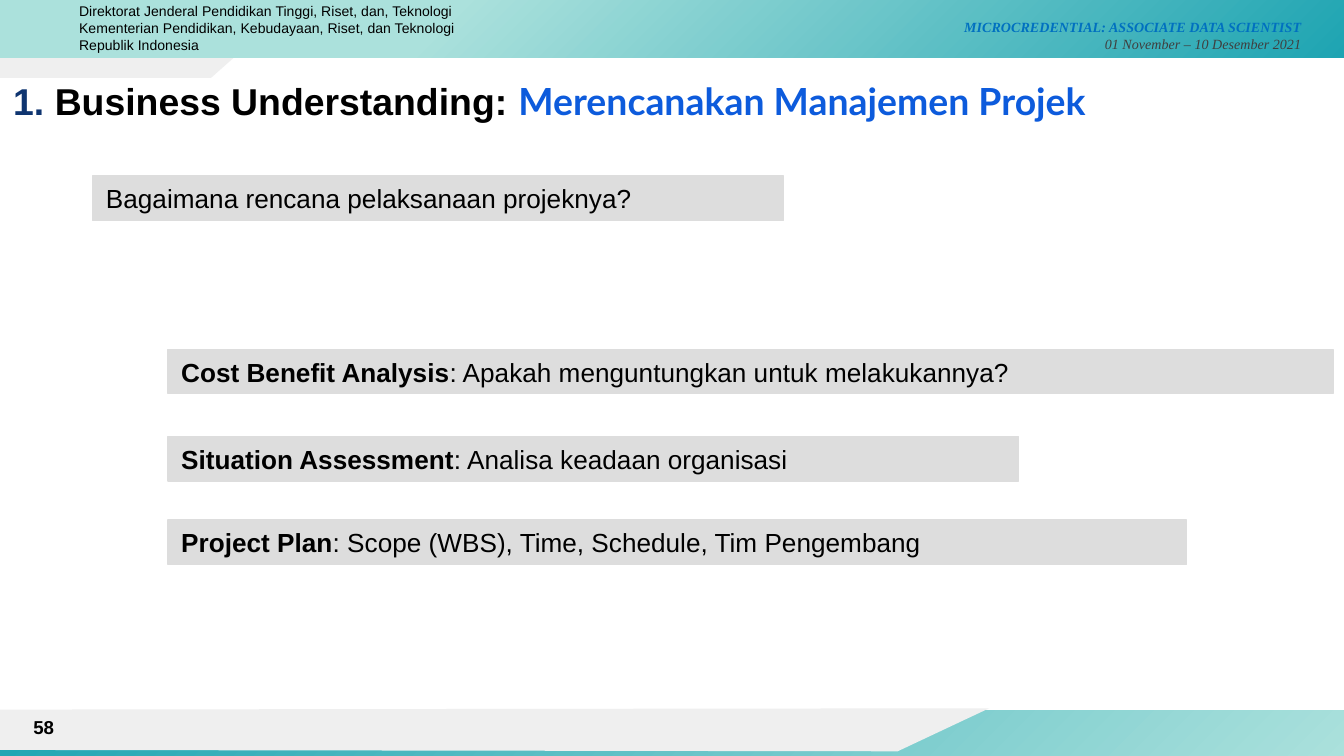
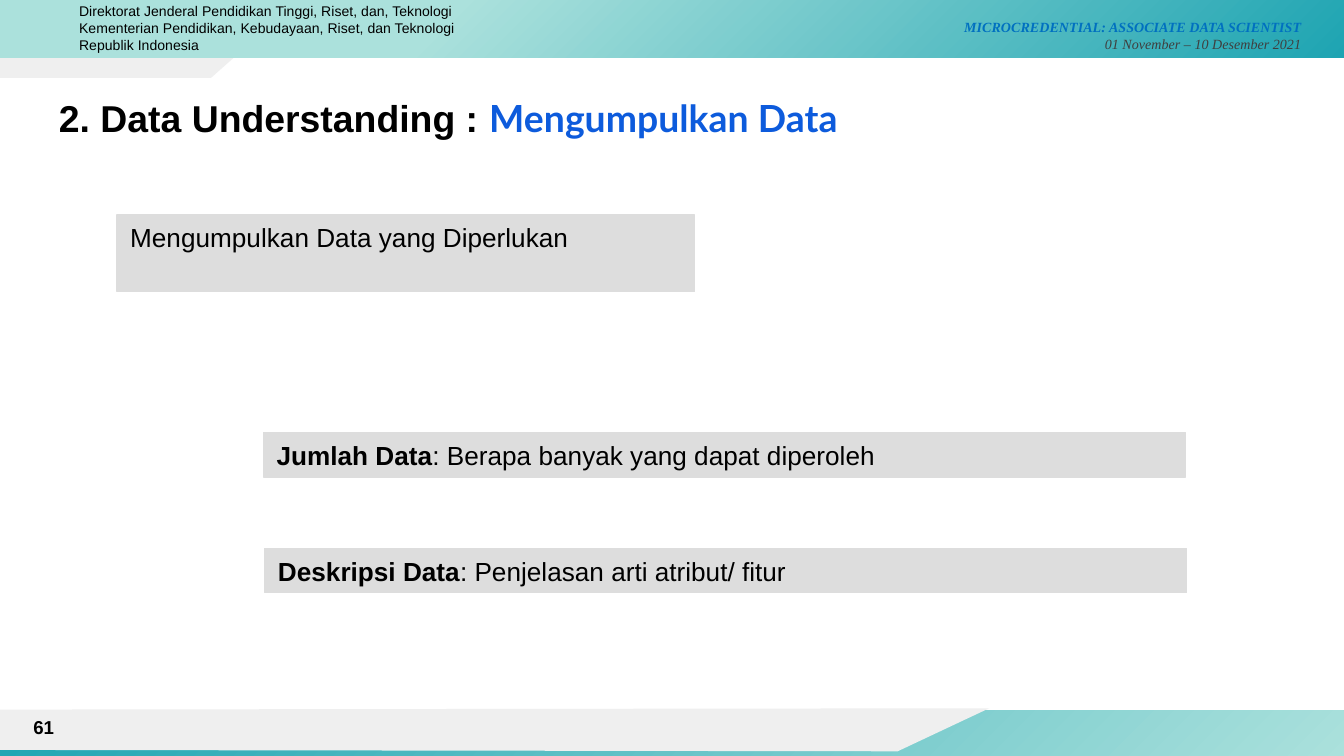
import lxml.etree
import pptx
import pptx.dml.color
import pptx.enum.shapes
import pptx.enum.text
import pptx.oxml.ns
import pptx.util

COLORS = {
    "aqua": "ABE1DC",
    "teal": "1EA4B2",
    "plate": "EFEFEF",
    "bar": "DDDDDD",
    "black": "000000",
    "navy": "0F3570",
    "accent": "0D5BDC",
    "program": "0070C0",
    "date": "3F3F3F",
}
CELL = pptx.util.Inches(0.1)
COLUMNS, ROWS = 100, 56.25
RECTANGLE = pptx.enum.shapes.MSO_SHAPE.RECTANGLE
LEFT = pptx.enum.text.PP_ALIGN.LEFT
RIGHT = pptx.enum.text.PP_ALIGN.RIGHT
TOP = pptx.enum.text.MSO_ANCHOR.TOP
MIDDLE = pptx.enum.text.MSO_ANCHOR.MIDDLE

TAB = [(18.3, 3.5), (0, 3.3), (0, 5.8), (15.7, 5.8)]
FOOTER_PLATE = [(73.6, 52.7), (0, 52.8), (0, 55.8), (66.8, 55.9)]
HEADER_STOPS = [(0, "teal"), (67, "aqua"), (100, "aqua")]
FOOTER_STOPS = [(0, "aqua"), (100, "teal")]

PROGRAM = [[
    ("MICROCREDENTIAL: ASSOCIATE DATA SCIENTIST\n", {"color": "program", "bold": True}),
    ("01 November – 10 Desember 2021", {"color": "date"}),
]]
MINISTRY = [
    [("Direktorat Jenderal Pendidikan Tinggi, Riset, dan, Teknologi", {})],
    [("Kementerian Pendidikan, Kebudayaan, Riset, dan Teknologi Republik Indonesia", {})],
]
HEADING = {"bold": True}
HEADING_ACCENT = {"bold": True, "font": "Lato", "color": "accent"}

SLIDES = [
    {
        "number": "58",
        "title_at": (0, 4.8, 101.7, 6.3),
        "title": [
            ("1. ", {"bold": True, "color": "navy"}),
            ("Business Understanding: ", HEADING),
            ("Merencanakan Manajemen Projek", HEADING_ACCENT),
        ],
        "bars": [
            ((6.9, 13.1, 51.4, 3.3), "", "Bagaimana rencana pelaksanaan projeknya?"),
            ((12.5, 26, 86.7, 3.3), "Cost Benefit Analysis", ": Apakah menguntungkan untuk melakukannya?"),
            ((12.5, 32.5, 63.3, 3.3), "Situation Assessment", ": Analisa keadaan organisasi"),
            ((12.5, 38.7, 75.8, 3.3), "Project Plan", ": Scope (WBS), Time, Schedule, Tim Pengembang"),
        ],
    },
    {
        "number": "61",
        "title_at": (3.4, 6.1, 93.2, 6.3),
        "title": [
            ("2. Data Understanding : ", HEADING),
            ("Mengumpulkan Data", HEADING_ACCENT),
        ],
        "bars": [
            ((8.7, 16, 43, 5.7), "", "Mengumpulkan Data yang Diperlukan"),
            ((19.6, 32.2, 68.6, 3.3), "Jumlah Data", ": Berapa banyak yang dapat diperoleh"),
            ((19.7, 40.8, 68.6, 3.3), "Deskripsi Data", ": Penjelasan arti atribut/ fitur"),
        ],
    },
]


def write(slide, paragraphs, at, size, font="Arial", italic=False, align=LEFT,
          anchor=TOP, inset_top=0.5, inset_bottom=0.5, bar=None):
    box = [int(length * CELL) for length in at]
    if bar:
        shape = slide.shapes.add_shape(RECTANGLE, *box)
        shape.shadow.inherit = False
        shape.fill.solid()
        shape.fill.fore_color.rgb = pptx.dml.color.RGBColor.from_string(COLORS[bar])
        shape.line.color.rgb = pptx.dml.color.RGBColor.from_string(COLORS[bar])
        shape.line.width = pptx.util.Pt(0.75)
    else:
        shape = slide.shapes.add_textbox(*box)
    frame = shape.text_frame
    frame.word_wrap = True
    frame.vertical_anchor = anchor
    frame.margin_left = frame.margin_right = CELL
    frame.margin_top = int(inset_top * CELL)
    frame.margin_bottom = int(inset_bottom * CELL)
    for index, runs in enumerate(paragraphs):
        paragraph = frame.add_paragraph() if index else frame.paragraphs[0]
        paragraph.alignment = align
        for text, style in runs:
            run = paragraph.add_run()
            run.text = text.rstrip("\n")
            run.font.size = pptx.util.Pt(size)
            run.font.name = style.get("font", font)
            run.font.bold = style.get("bold", False)
            run.font.italic = italic
            color = COLORS[style.get("color", "black")]
            run.font.color.rgb = pptx.dml.color.RGBColor.from_string(color)
            if text.endswith("\n"):
                paragraph.add_line_break()


def add_band(slide, top, height, stops):
    band = slide.shapes.add_shape(RECTANGLE, 0, int(top * CELL), COLUMNS * CELL, int(height * CELL))
    band.shadow.inherit = False
    band.line.fill.background()
    band.fill.gradient()
    qn = pptx.oxml.ns.qn
    gradient = band._element.spPr.find(qn("a:gradFill"))
    for child in list(gradient):
        gradient.remove(child)
    stop_list = lxml.etree.SubElement(gradient, qn("a:gsLst"))
    for position, color in stops:
        stop = lxml.etree.SubElement(stop_list, qn("a:gs"), pos=str(position * 1000))
        lxml.etree.SubElement(stop, qn("a:srgbClr"), val=COLORS[color])
    circle = lxml.etree.SubElement(gradient, qn("a:path"), path="circle")
    lxml.etree.SubElement(circle, qn("a:fillToRect"), l="100000", t="100000")


presentation = pptx.Presentation()
presentation.slide_width = COLUMNS * CELL
presentation.slide_height = int(ROWS * CELL)

for content in SLIDES:
    slide = presentation.slides.add_slide(presentation.slide_layouts[6])

    add_band(slide, 52.9, 3.6, FOOTER_STOPS)
    for outline in (TAB, FOOTER_PLATE):
        points = [(x * CELL, y * CELL) for x, y in outline]
        builder = slide.shapes.build_freeform(*points[0])
        builder.add_line_segments(points[1:], close=True)
        plate = builder.convert_to_shape()
        plate.shadow.inherit = False
        plate.fill.solid()
        plate.fill.fore_color.rgb = pptx.dml.color.RGBColor.from_string(COLORS["plate"])
        plate.line.fill.background()
    add_band(slide, 0, 4.3, HEADER_STOPS)

    write(slide, PROGRAM, (59.5, 0.5, 38.3, 3.9), 7.5, font="Times New Roman",
          italic=True, align=RIGHT, inset_top=0.9)
    write(slide, MINISTRY, (4.9, -0.3, 33.3, 4.8), 7.5)

    write(slide, [content["title"]], content["title_at"], 20, inset_top=1, inset_bottom=1)
    for at, label, detail in content["bars"]:
        runs = [(label, {"bold": True})] if label else []
        write(slide, [runs + [(detail, {})]], at, 14, bar="bar")
    write(slide, [[(content["number"], {"bold": True})]], (0, 52.6, 5, 3), 10,
          align=RIGHT, anchor=MIDDLE)

presentation.save("out.pptx")
